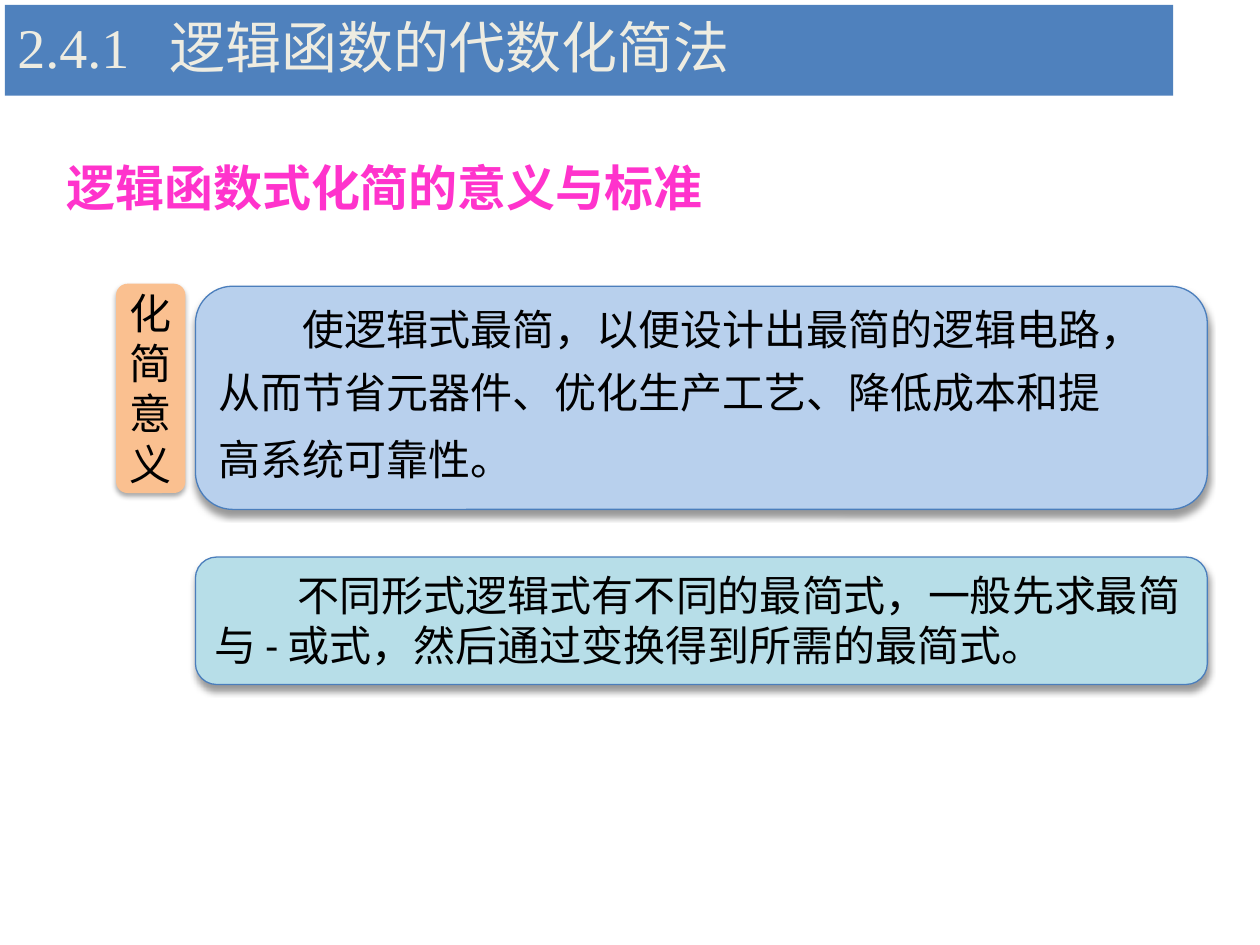
from dataclasses import dataclass
from typing import Optional

import pptx
import pptx.dml.color
import pptx.enum.shapes
import pptx.enum.text
import pptx.oxml
import pptx.oxml.ns
import pptx.util

Cm = pptx.util.Cm
Pt = pptx.util.Pt
ALIGN = pptx.enum.text.PP_ALIGN
ANCHOR = pptx.enum.text.MSO_ANCHOR
SHAPES = pptx.enum.shapes.MSO_SHAPE


@dataclass
class Style:
    size: float
    color: str
    font: str = "Calibri"
    bold: bool = False


@dataclass
class Line:
    text: str
    before: float = 0
    indent: float = 0
    align: int = ALIGN.LEFT


@dataclass
class Shadow:
    opacity: int
    blur: float
    distance: float


@dataclass
class Panel:
    left: float
    top: float
    width: float
    height: float
    fill: str
    lines: list[Line]
    shadow: Shadow
    outline: Optional[str] = None
    inset: bool = True


def rgb(value: str) -> pptx.dml.color.RGBColor:
    return pptx.dml.color.RGBColor.from_string(value)


def write_line(paragraph, line: Line, style: Style) -> None:
    paragraph.alignment = line.align
    if line.before:
        paragraph.space_before = Pt(line.before)
    if line.indent:
        paragraph._p.get_or_add_pPr().set("indent", str(Pt(line.indent)))
    run = paragraph.add_run()
    run.text = line.text
    run.font.size = Pt(style.size)
    run.font.name = style.font
    run.font.bold = style.bold
    run.font.color.rgb = rgb(style.color)


def cast_shadow(shape, shadow: Shadow) -> None:
    effects = shape._element.spPr.find(pptx.oxml.ns.qn("a:effectLst"))
    effects.append(pptx.oxml.parse_xml(
        f'<a:outerShdw {pptx.oxml.ns.nsdecls("a")} blurRad="{Pt(shadow.blur)}"'
        f' dist="{Pt(shadow.distance)}" dir="5400000" rotWithShape="0">'
        f'<a:srgbClr val="000000"><a:alpha val="{shadow.opacity * 1000}"/>'
        '</a:srgbClr></a:outerShdw>'))


def add_block(slide, kind, left: float, top: float, width: float,
              height: float, fill: str, outline: Optional[str] = None):
    block = slide.shapes.add_shape(kind, Cm(left), Cm(top), Cm(width), Cm(height))
    block.shadow.inherit = False
    block.fill.solid()
    block.fill.fore_color.rgb = rgb(fill)
    if outline:
        block.line.color.rgb = rgb(outline)
        block.line.width = Pt(0.75)
    else:
        block.line.fill.background()
    block.text_frame.word_wrap = True
    return block


def add_panel(slide, panel: Panel, style: Style) -> None:
    block = add_block(slide, SHAPES.ROUNDED_RECTANGLE, panel.left, panel.top,
                      panel.width, panel.height, panel.fill, panel.outline)
    cast_shadow(block, panel.shadow)
    frame = block.text_frame
    frame.vertical_anchor = ANCHOR.TOP
    if not panel.inset:
        frame.margin_left = frame.margin_right = 0
        frame.margin_top = frame.margin_bottom = 0
    for index, line in enumerate(panel.lines):
        paragraph = frame.add_paragraph() if index else frame.paragraphs[0]
        write_line(paragraph, line, style)


def add_banner(slide) -> None:
    banner = add_block(slide, SHAPES.RECTANGLE, 0.1, 0.1, 23.55, 1.83, "4F81BD")
    banner.text_frame.vertical_anchor = ANCHOR.MIDDLE
    paragraph = banner.text_frame.paragraphs[0]
    paragraph.line_spacing = 0.9
    paragraph._p.get_or_add_pPr().append(pptx.oxml.parse_xml(
        f'<a:tabLst {pptx.oxml.ns.nsdecls("a")}>'
        f'<a:tab pos="{Cm(3.06)}" algn="l"/></a:tabLst>'))
    write_line(paragraph, Line("2.4.1\t逻辑函数的代数化简法"),
               Style(32, "EEECE1", "Times New Roman"))


def add_heading(slide) -> None:
    heading = slide.shapes.add_textbox(Cm(1.09), Cm(2.92), Cm(21.59), Cm(1.68))
    heading.text_frame.word_wrap = True
    heading.text_frame.vertical_anchor = ANCHOR.MIDDLE
    write_line(heading.text_frame.paragraphs[0], Line("逻辑函数式化简的意义与标准"),
               Style(28, "FF33CC", bold=True))


def main() -> None:
    deck = pptx.Presentation()
    deck.slide_width, deck.slide_height = Cm(25.4), Cm(19.05)
    slide = deck.slides.add_slide(deck.slide_layouts[6])
    body = Style(24, "000000")
    two_characters = 2 * body.size
    deep = Shadow(40, 4, 3)
    panels = [
        Panel(2.34, 5.72, 1.4, 4.22, "FAC090",
              [Line("化简意义", align=ALIGN.CENTER)],
              Shadow(35, 3.1, 1.8), inset=False),
        Panel(3.94, 5.77, 20.4, 4.5, "B8D0ED",
              [Line("使逻辑式最简，以便设计出最简的逻辑电路，", indent=two_characters),
               Line("从而节省元器件、优化生产工艺、降低成本和提", before=7.2),
               Line("高系统可靠性。", before=9.6)],
              deep, outline="4B7EBC"),
        Panel(3.94, 11.23, 20.4, 2.57, "B7DEE8",
              [Line("不同形式逻辑式有不同的最简式，一般先求最简与 - 或式，"
                    "然后通过变换得到所需的最简式。", indent=two_characters)],
              deep, outline="4B7EBC"),
    ]
    add_heading(slide)
    for panel in panels:
        add_panel(slide, panel, body)
    add_banner(slide)
    deck.save("out.pptx")


if __name__ == "__main__":
    main()
